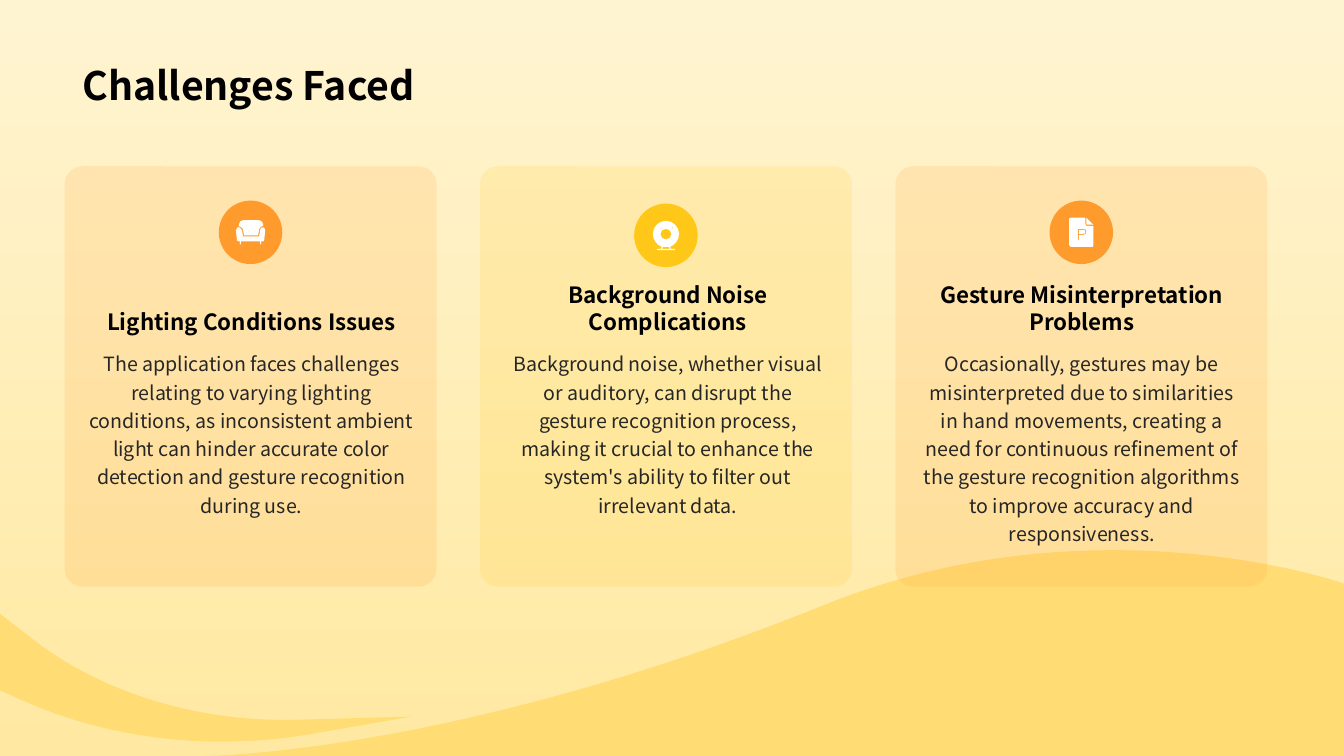
"""Build the "Challenges Faced" slide with three cards over a wavy background."""
from lxml import etree
from pptx import Presentation
from pptx.dml.color import RGBColor
from pptx.enum.shapes import MSO_SHAPE
from pptx.enum.text import MSO_ANCHOR, MSO_AUTO_SIZE, PP_ALIGN
from pptx.oxml.ns import qn
from pptx.util import Inches, Pt

ROUNDED, OVAL = MSO_SHAPE.ROUNDED_RECTANGLE, MSO_SHAPE.OVAL
TOP, BOTTOM = MSO_ANCHOR.TOP, MSO_ANCHOR.BOTTOM
LEFT, CENTER = PP_ALIGN.LEFT, PP_ALIGN.CENTER
GROW, FIXED = MSO_AUTO_SIZE.SHAPE_TO_FIT_TEXT, MSO_AUTO_SIZE.NONE

FONT = "Noto Sans CJK SC"
ORANGE, YELLOW, WAVE, WHITE = "FF9A2C", "FFC717", "FFDD74", "FFFFFF"
BACKGROUND = [(0, "FFE9A2"), (1, "FFF4D1")]
TITLE = "Challenges Faced"

WAVES = [
    ((2.01, 5.46, 11.32, 2.04),
     "M 617 54 C 885 -54 1132 33 1132 33 L 1132 204 L 0 204 C 0 204 246 204 617 54 Z"),
    ((0, 6.09, 4.08, 1.27),
     "M 0 0 L 31 24 C 100 78 196 108 296 105 L 408 102 L 310 119 "
     "C 213 136 111 125 25 87 L 0 76 L 0 0 Z"),
]
SOFA = (0.29, 0.24, (
    "M 27 7 C 28 7 29 9 29 10 C 29 10 29 10 29 10 L 28 20 C 28 20 28 21 27 21 L 25 21 "
    "L 25 24 L 24 24 L 24 21 L 5 21 L 5 24 L 4 24 L 4 21 L 3 21 C 2 21 1 20 1 20 L 0 10 "
    "C 0 9 1 8 2 7 C 3 7 3 7 3 7 C 4 7 5 9 6 10 L 7 16 L 23 16 L 24 10 C 24 8 25 7 27 7 Z "
    "M 23 0 C 25 0 27 2 27 4 L 27 6 C 27 6 26 6 26 6 C 25 6 23 8 23 9 L 23 9 L 22 15 L 8 15 "
    "L 7 9 C 6 8 5 6 3 6 L 3 4 C 3 2 5 0 7 0 L 23 0 Z"))
CAMERA = (0.26, 0.29, (
    "M 13 0 C 20 0 26 6 26 13 C 26 19 22 24 17 26 L 18 28 L 22 28 L 22 29 L 4 29 L 4 28 "
    "L 8 28 L 9 26 C 4 24 0 19 0 13 C 0 6 6 0 13 0 Z "
    "M 10 26 L 9 28 L 17 28 L 16 26 C 15 26 14 26 13 26 C 12 26 11 26 10 26 Z "
    "M 13 8 C 10 8 7.5 10.3 7.5 13.2 C 7.5 16.2 10 18.6 13 18.6 "
    "C 16 18.6 18.5 16.2 18.5 13.2 C 18.5 10.3 16 8 13 8 Z "
    "M 19 6 C 19 6 19 7 19 7 C 19 7 19 8 19 8 C 20 8 20 7 20 7 C 20 7 20 6 19 6 Z"))
DOCUMENT = (0.24, 0.29, (
    "M 16 0 C 16 0 16 0 16 0 L 16 6 L 16 6 C 16 7 17 8 17 8 L 17 8 L 24 8 C 24 8 24 8 24 8 "
    "L 24 27 C 24 28 23 29 23 29 L 2 29 C 1 29 0 28 0 27 L 0 1 C 0 0 1 0 2 0 L 16 0 Z "
    "M 14 11 L 8.5 11 L 8.5 22 L 9.5 22 L 9.5 17 L 14 17 L 14 17 C 16 17 17 15 17 14 "
    "C 17 12 16 11 14 11 L 14 11 Z "
    "M 14 12 C 15 12 16 12.5 16 14 C 16 15 15 16 14 16 L 14 16 L 9.5 16 L 9.5 12 L 14 12 Z "
    "M 24 7 L 17.5 7 L 17.5 7 C 17 7 17 7 17 6 L 17 6 L 17 0 L 24 7 Z"))

CARDS = [
    dict(color=ORANGE, icon=SOFA, disc_top=1.99, text_left=0.76, text_width=3.47,
         heading="Lighting Conditions Issues",
         body="The application faces challenges relating to varying lighting conditions, as "
              "inconsistent ambient light can hinder accurate color detection and gesture "
              "recognition during use."),
    dict(color=YELLOW, icon=CAMERA, disc_top=2.02, text_left=4.94, text_width=3.37,
         heading="Background Noise Complications",
         body="Background noise, whether visual or auditory, can disrupt the gesture "
              "recognition process, making it crucial to enhance the system's ability to "
              "filter out irrelevant data."),
    dict(color=ORANGE, icon=DOCUMENT, disc_top=1.99, text_left=9.06, text_width=3.34,
         heading="Gesture Misinterpretation Problems",
         body="Occasionally, gestures may be misinterpreted due to similarities in hand "
              "movements, creating a need for continuous refinement of the gesture "
              "recognition algorithms to improve accuracy and responsiveness."),
]
CARD_LEFT, CARD_TOP, CARD_W, CARD_H, CARD_PITCH = 0.64, 1.65, 3.69, 4.17, 4.12
DISC = 0.63
UNITS_PER_INCH = 1000
COMMANDS = {"M": "a:moveTo", "L": "a:lnTo", "C": "a:cubicBezTo", "Z": "a:close"}


def rgb(color):
    return RGBColor.from_string(color)


def paint(sp, color, opacity=100):
    sp.shadow.inherit = False
    sp.line.fill.background()
    sp.fill.solid()
    sp.fill.fore_color.rgb = rgb(color)
    if opacity < 100:
        clr = sp._element.spPr.find(".//" + qn("a:srgbClr"))
        etree.SubElement(clr, qn("a:alpha"), val=str(opacity * 1000))


def add_shape(s, kind, box, color, opacity=100):
    sp = s.shapes.add_shape(kind, *map(Inches, box))
    paint(sp, color, opacity)
    return sp


def add_text(s, text, box, size, color="000000", bold=False, align=CENTER,
             anchor=TOP, spacing=None, fit=GROW):
    tf = s.shapes.add_textbox(*map(Inches, box)).text_frame
    tf.word_wrap = True
    tf.auto_size = fit
    tf.vertical_anchor = anchor
    p = tf.paragraphs[0]
    p.alignment = align
    p.line_spacing = spacing
    r = p.add_run()
    r.text = text
    r.font.name, r.font.size, r.font.bold = FONT, Pt(size), bold
    r.font.color.rgb = rgb(color)


def add_outline(s, box, outline, color):
    left, top, width, height = map(Inches, box)
    builder = s.shapes.build_freeform(left, top)
    builder.add_line_segments([(left + width, top), (left + width, top + height)])
    sp = builder.convert_to_shape()
    path = sp._element.spPr.find(".//" + qn("a:path"))
    for child in list(path):
        path.remove(child)
    path.set("w", str(round(box[2] * UNITS_PER_INCH)))
    path.set("h", str(round(box[3] * UNITS_PER_INCH)))
    tokens = iter(outline.split())
    for token in tokens:
        if token in COMMANDS:
            command = etree.SubElement(path, qn(COMMANDS[token]))
        else:
            x, y = (str(round(float(n) * UNITS_PER_INCH / 100)) for n in (token, next(tokens)))
            etree.SubElement(command, qn("a:pt"), x=x, y=y)
    paint(sp, color)


def add_card(s, index, card):
    left = CARD_LEFT + index * CARD_PITCH
    sp = add_shape(s, ROUNDED, (left, CARD_TOP, CARD_W, CARD_H), card["color"], opacity=15)
    sp.adjustments[0] = 0.048
    text_left, text_width = card["text_left"], card["text_width"]
    add_text(s, card["heading"], (text_left, 3, text_width, 0.37), 16, bold=True, anchor=BOTTOM)
    add_text(s, card["body"], (text_left, 3.4, text_width, 0.72), 14, color="262626", spacing=1.2)
    disc_left, disc_top = left + (CARD_W - DISC) / 2, card["disc_top"]
    add_shape(s, OVAL, (disc_left, disc_top, DISC, DISC), card["color"])
    width, height, outline = card["icon"]
    icon_box = (disc_left + (DISC - width) / 2, disc_top + (DISC - height) / 2, width, height)
    add_outline(s, icon_box, outline, WHITE)


def main():
    prs = Presentation()
    prs.slide_width, prs.slide_height = Inches(13.33), Inches(7.5)
    s = prs.slides.add_slide(prs.slide_layouts[6])
    fill = s.background.fill
    fill.gradient()
    fill.gradient_angle = 90
    for stop, (position, color) in zip(fill.gradient_stops, BACKGROUND):
        stop.position, stop.color.rgb = position, rgb(color)
    for box, outline in WAVES:
        add_outline(s, box, outline, WAVE)
    for index, card in enumerate(CARDS):
        add_card(s, index, card)
    add_text(s, TITLE, (0.72, 0.14, 11.88, 0.98), 28, bold=True, align=LEFT,
             anchor=BOTTOM, fit=FIXED)
    prs.save("out.pptx")


if __name__ == "__main__":
    main()
